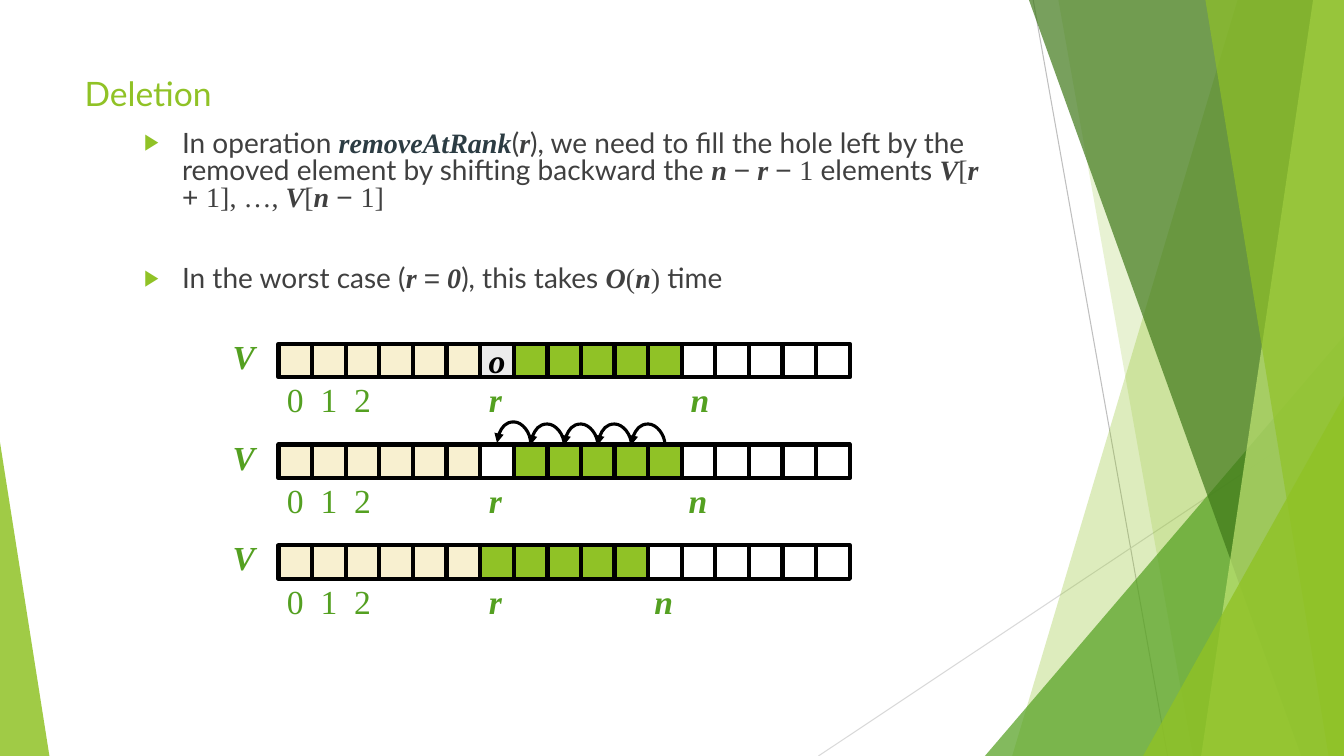
from lxml import etree
from pptx import Presentation
from pptx.dml.color import RGBColor
from pptx.enum.shapes import MSO_CONNECTOR, MSO_SHAPE
from pptx.enum.text import MSO_ANCHOR, MSO_AUTO_SIZE, PP_ALIGN
from pptx.oxml.ns import qn
from pptx.util import Pt

RECT, TRI = MSO_SHAPE.RECTANGLE, MSO_SHAPE.ISOSCELES_TRIANGLE
LINE, CURVE = MSO_CONNECTOR.STRAIGHT, MSO_CONNECTOR.CURVE
LEFT, MID = PP_ALIGN.LEFT, PP_ALIGN.CENTER
TOP, CENTER = MSO_ANCHOR.TOP, MSO_ANCHOR.MIDDLE
FIXED = MSO_AUTO_SIZE.NONE

LIME = RGBColor(0x90, 0xC2, 0x26)
GREEN = RGBColor(0x54, 0xA0, 0x21)
MOSS = RGBColor(0x3F, 0x78, 0x19)
PALE = RGBColor(0xC0, 0xE4, 0x74)
CREAM = RGBColor(0xF8, 0xF0, 0xD0)
MIST = RGBColor(0xEB, 0xEB, 0xEB)
WHITE = RGBColor(0xFF, 0xFF, 0xFF)
BLACK = RGBColor(0, 0, 0)
TEXT = RGBColor(0x40, 0x40, 0x40)
SLATE = RGBColor(0x2C, 0x3C, 0x43)
GRAY = RGBColor(0xBF, 0xBF, 0xBF)
SILVER = RGBColor(0xD9, 0xD9, 0xD9)

SANS, SERIF, SIGN = "Lato", "Times New Roman", "Arial"
WIDE, HIGH = 960, 540
CELL = 24       # cell side and pitch
EDGE = 199      # left of the arrays
COUNT = 17      # cells in an array


def child(parent, tag, **attrs):
    return etree.SubElement(parent, qn(tag), attrs)


class Board:
    def __init__(self, slide):
        self.slide = slide
        self.shapes = slide.shapes

    def style(self, font, size, color, face=SANS, strong=False):
        font.name, font.size = face, Pt(size)
        font.bold = font.italic = strong
        font.color.rgb = color

    def paint(self, shape, color, alpha=100):
        shape.shadow.inherit = False
        shape.fill.solid()
        shape.fill.fore_color.rgb = color
        shape.line.fill.background()
        if alpha < 100:
            tone = shape._element.spPr.find(qn("a:solidFill"))[0]
            child(tone, "a:alpha", val=str(alpha * 1000))

    def wedge(self, top, base, color, alpha):
        pen = self.shapes.build_freeform(Pt(top), 0)
        pen.add_line_segments([(Pt(x), Pt(y)) for x, y in
                               ((WIDE, 0), (WIDE, HIGH), (base, HIGH))])
        self.paint(pen.convert_to_shape(), color, alpha)

    def peak(self, x, y, width, tip, color, alpha):
        shape = self.shapes.add_shape(TRI, Pt(x), Pt(y), Pt(width), Pt(HIGH - y))
        shape.adjustments[0] = tip
        self.paint(shape, color, alpha)

    def line(self, x1, y1, x2, y2, color, width, kind=LINE):
        link = self.shapes.add_connector(kind, Pt(x1), Pt(y1), Pt(x2), Pt(y2))
        link.line.color.rgb = color
        link.line.width = Pt(width)
        child(link._element.spPr, "a:effectLst")
        return link

    def hop(self, x, y):
        """Arc over one cell pitch, with its arrowhead at the left."""
        thin, rise = 0.125, 16.5
        left, top = x + CELL / 2 - thin / 2, y - CELL / 2
        link = self.line(left, top, left + thin, top + CELL, BLACK, 2.25, CURVE)
        props = link._element.spPr
        frame = props.find(qn("a:xfrm"))
        frame.set("rot", "5400000")
        frame.set("flipV", "1")
        bend = props.find(qn("a:prstGeom")).find(qn("a:avLst"))
        child(bend, "a:gd", name="adj1", fmla=f"val {-round(rise / thin * 100000)}")
        child(props.find(qn("a:ln")), "a:headEnd", type="triangle")

    def label(self, text, x, y, width, strong=True):
        box = self.shapes.add_textbox(Pt(x), Pt(y), Pt(width), Pt(29))
        frame = box.text_frame
        frame.margin_left = frame.margin_right = 0
        frame.margin_top = frame.margin_bottom = 0
        frame.word_wrap = strong
        frame.text = text
        para = frame.paragraphs[0]
        para.alignment = MID if strong else LEFT
        self.style(para.runs[0].font, 24, GREEN, SERIF, strong)

    def cell(self, x, y, color, text):
        box = self.shapes.add_shape(RECT, Pt(x), Pt(y), Pt(CELL), Pt(CELL))
        self.paint(box, color)
        box.line.color.rgb = BLACK
        box.line.width = Pt(3)
        if text:
            frame = box.text_frame
            frame.word_wrap = False
            frame.vertical_anchor = CENTER
            frame.text = text
            frame.paragraphs[0].alignment = MID
            self.style(frame.paragraphs[0].runs[0].font, 24, BLACK, SERIF, True)

    def array(self, y, fills, end, mark=""):
        self.label("V", 162.7, y - 5.7, 23)
        for i in range(3):
            self.label(str(i), 205 + i * CELL, y + 25.2, 12, False)
        for i, color in enumerate(fills):
            self.cell(EDGE + i * CELL, y, color, mark if i == 6 else "")
        self.label("r", 342.7, y + 25.2, 22.3)
        self.label("n", end, y + 25.2, 22.3)

    def place(self, holder, x, y, width, height):
        holder.left, holder.top = Pt(x), Pt(y)
        holder.width, holder.height = Pt(width), Pt(height)
        self.shapes._spTree.append(holder._element)
        frame = holder.text_frame
        frame.auto_size = FIXED
        frame.word_wrap = True
        frame.vertical_anchor = TOP
        return frame

    def title(self, text):
        frame = self.place(self.shapes.title, 53.3, 48.2, 676.8, 103.7)
        frame.text = text
        frame.paragraphs[0].alignment = LEFT
        self.style(frame.paragraphs[0].runs[0].font, 24, LIME)

    def bullets(self, items):
        frame = self.place(self.slide.placeholders[1], 95.8, 90.7, 612, 126)
        for i, (gap, parts) in enumerate(items):
            para = frame.add_paragraph() if i else frame.paragraphs[0]
            props = para._p.get_or_add_pPr()
            props.set("marL", str(Pt(27)))
            props.set("indent", str(-Pt(27)))
            child(child(props, "a:buClr"), "a:srgbClr", val=str(LIME))
            child(props, "a:buSzPct", val="80000")
            child(props, "a:buFont", typeface=SIGN)
            child(props, "a:buChar", char="▶")
            para.line_spacing = 0.8
            para.space_before = Pt(gap)
            para.alignment = LEFT
            for text, (face, strong, color) in parts:
                run = para.add_run()
                run.text = text
                self.style(run.font, 20, color, face, strong)


deck = Presentation()
deck.slide_width, deck.slide_height = Pt(WIDE), Pt(HIGH)
board = Board(deck.slides.add_slide(deck.slide_layouts[1]))

# Side decoration
board.line(738, 0, 834, HIGH, GRAY, 0.75)
board.line(WIDE, 290, 584.6, HIGH, SILVER, 0.75)
board.wedge(884, 723, LIME, 30)
board.wedge(756, 852, LIME, 20)
board.peak(703.5, 240, 256.5, 1, GREEN, 72)
board.wedge(735, 929.5, MOSS, 70)
board.wedge(938, 858, PALE, 70)
board.wedge(861, 949, LIME, 65)
board.peak(816.5, 283, 143.5, 1, LIME, 80)
board.peak(0, 316, 35.3, 0, LIME, 85)

# Title and list
board.title("Deletion")
WORD, VAR = (SANS, False, TEXT), (SERIF, True, TEXT)
NUM, OP, CODE = (SERIF, False, TEXT), (SIGN, False, TEXT), (SERIF, True, SLATE)
board.bullets([
    (0, [("In operation ", WORD), ("removeAtRank", CODE), ("(", WORD), ("r", VAR),
         ("), we need to fill the hole left by the removed element by shifting "
          "backward the ", WORD),
         ("n ", VAR), ("−", OP), (" r ", VAR), ("− ", OP), ("1", NUM),
         (" elements ", WORD), ("V", VAR), ("[", NUM), ("r ", VAR), ("+ ", OP),
         ("1], …, ", NUM), ("V", VAR), ("[", NUM), ("n ", VAR), ("− ", OP),
         ("1]", NUM)]),
    (39, [("In the worst case (", WORD), ("r ", VAR), ("=", OP), (" 0", VAR),
          ("), this takes ", WORD), ("O", VAR), ("(", NUM), ("n", VAR),
          (")", NUM), (" time", WORD)]),
])

# Arrays before, during and after the shift
head, moved = [CREAM] * 6, [LIME] * 5
stages = [(head + [MIST] + moved, 488.9, "o"),
          (head + [WHITE] + moved, 487.4, ""),
          (head + moved, 463, "")]
for i, (fills, end, mark) in enumerate(stages):
    free = [WHITE] * (COUNT - len(fills))
    board.array(245.5 + i * 72, fills + free, end, mark)

# Shift arrows
for i in range(5):
    board.hop(355 + i * CELL, 317.9 if i else 316.4)

deck.save("out.pptx")
